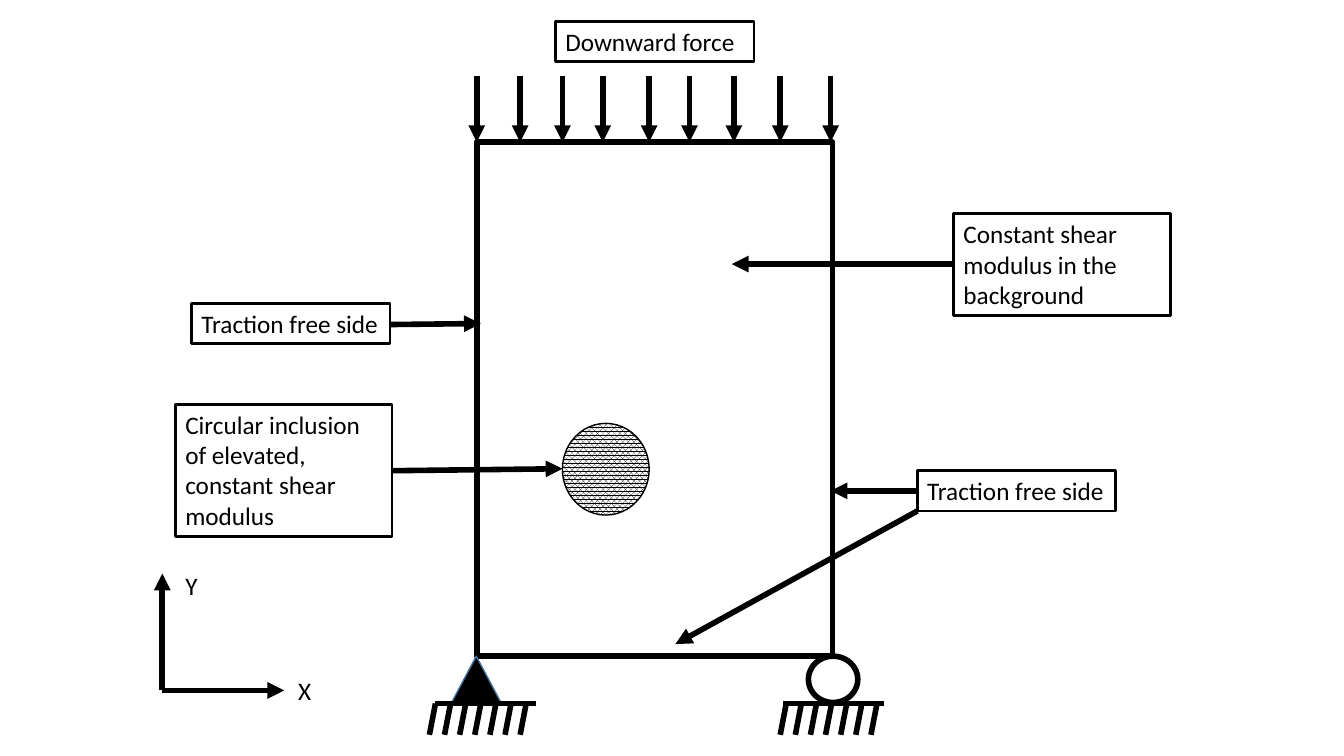
"""Draw a loaded plate with a circular inclusion, its supports and labels."""
from lxml import etree
from pptx import Presentation
from pptx import util as u
from pptx.dml import color
from pptx.enum import dml, shapes, text
from pptx.oxml import ns

COLS, ROWS = 133.33, 75
INK, PAPER, EDGE = "000000", "FFFFFF", "43739E"
THICK, MID, THIN = 4, 2, 1
KIND = shapes.MSO_SHAPE


def tint(code):
    return color.RGBColor.from_string(code)


class Board:
    def __init__(self, deck):
        self.font, self.size = "Calibri", 18
        self.slide = deck.slides.add_slide(deck.slide_layouts[6])
        self.col = deck.slide_width / COLS
        self.row = deck.slide_height / ROWS

    def place(self, x, y):
        return u.Emu(round(x * self.col)), u.Emu(round(y * self.row))

    def stroke(self, item, width, code=INK):
        item.line.color.rgb = tint(code)
        item.line.width = u.Pt(width)

    def shape(self, kind, x, y, w, h, width=THICK, fill=None, edge=INK):
        item = self.slide.shapes.add_shape(kind, *self.place(x, y), *self.place(w, h))
        item.shadow.inherit = False
        item.fill.background()
        if fill:
            item.fill.solid()
            item.fill.fore_color.rgb = tint(fill)
        self.stroke(item, width, edge)
        return item

    def dotted(self, x, y, w, h):
        fill = self.shape(KIND.OVAL, x, y, w, h, THIN).fill
        fill.patterned()
        fill.pattern = dml.MSO_PATTERN.PERCENT_75
        fill.fore_color.rgb = tint(INK)
        fill.back_color.rgb = tint(PAPER)

    def line(self, x1, y1, x2, y2, head=False):
        item = self.slide.shapes.add_connector(
            shapes.MSO_CONNECTOR.STRAIGHT, *self.place(x1, y1), *self.place(x2, y2))
        self.stroke(item, THICK)
        if head:
            etree.SubElement(item.line._get_or_add_ln(), ns.qn("a:tailEnd"), type="triangle")
        etree.SubElement(item._element.spPr, ns.qn("a:effectLst"))

    def label(self, words, x, y, w, h=4, framed=True):
        item = self.slide.shapes.add_textbox(*self.place(x, y), *self.place(w, h))
        frame = item.text_frame
        frame.word_wrap = True
        frame.vertical_anchor = text.MSO_ANCHOR.TOP
        frame.text = words
        font = frame.paragraphs[0].runs[0].font
        font.name, font.size = self.font, u.Pt(self.size)
        font.color.rgb = tint(INK)
        if framed:
            self.stroke(item, MID)

    def ground(self, x, y, plate):
        self.line(plate, y, plate + 10, y)
        for step in range(7):
            foot = x + 1.5 * step
            self.line(foot, y + 3.1, foot + 0.6, y)


deck = Presentation()
deck.slide_width, deck.slide_height = u.Inches(13.33), u.Inches(7.5)
board = Board(deck)

LEFT, TOP, WIDE, TALL = 47.3, 14.1, 35.3, 51
BASE, FLOOR = TOP + TALL, 69.8
board.shape(KIND.RECTANGLE, LEFT, TOP, WIDE, TALL)
board.shape(KIND.ISOSCELES_TRIANGLE, LEFT - 2.5, BASE, 4.9, 4.6, THIN, INK, EDGE)
board.shape(KIND.OVAL, LEFT + WIDE - 2.4, BASE, 4.9, 4.6)
board.ground(42.6, FLOOR, 43.2)
board.ground(77.4, FLOOR, 77.7)

for force in (47.3, 51.6, 55.8, 59.8, 64.4, 68.4, 72.8, 77.4, 82.4):
    board.line(force, 7.5, force, TOP, head=True)

board.dotted(55.8, 42, 8.6, 9.1)

SIDE = "Traction free side"
for label in (
    ("Downward force", 55.1, 2.1, 19.7),
    ("Circular inclusion of elevated, constant shear modulus", 17.4, 40.1, 21.5, 13.1),
    (SIDE, 91, 46.7, 19.7),
    (SIDE, 19, 30.1, 19.7),
    ("Constant shear modulus in the background", 94.6, 21.2, 21.5, 10.1),
    ("X", 28.6, 66.5, 4.1, 4, False),
    ("Y", 17.4, 56.1, 4.1, 4, False),
):
    board.label(*label)

AXIS = (16.1, 68.5)
for arrow in (
    (38.6, 32.2, 47.7, 32.1),
    (38.9, 46.7, 55.8, 46.5),
    (94.4, 26.2, 72.6, 26.2),
    (91, 48.7, 82.4, 48.7),
    (91, 50.7, 67, 63.9),
    (*AXIS, 16.1, 56.9),
    (*AXIS, 28.2, 68.5),
):
    board.line(*arrow, head=True)

deck.save("out.pptx")
